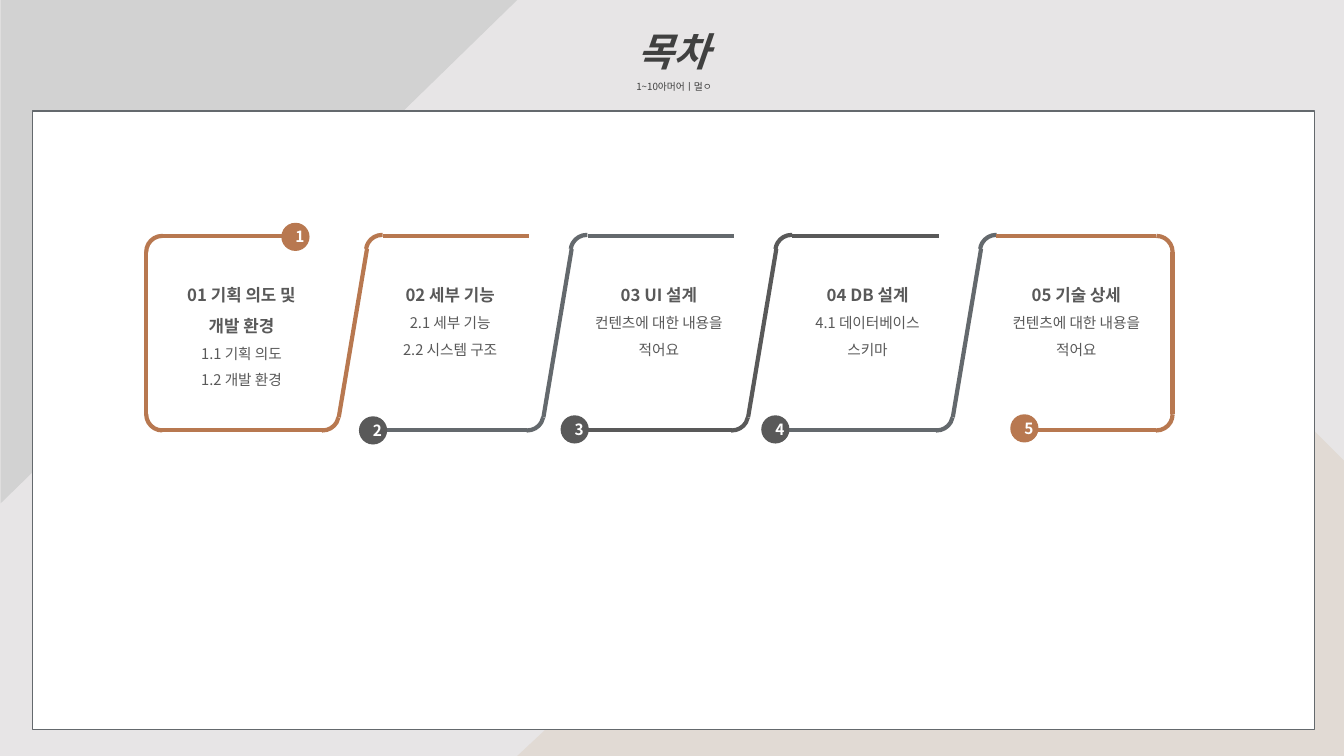
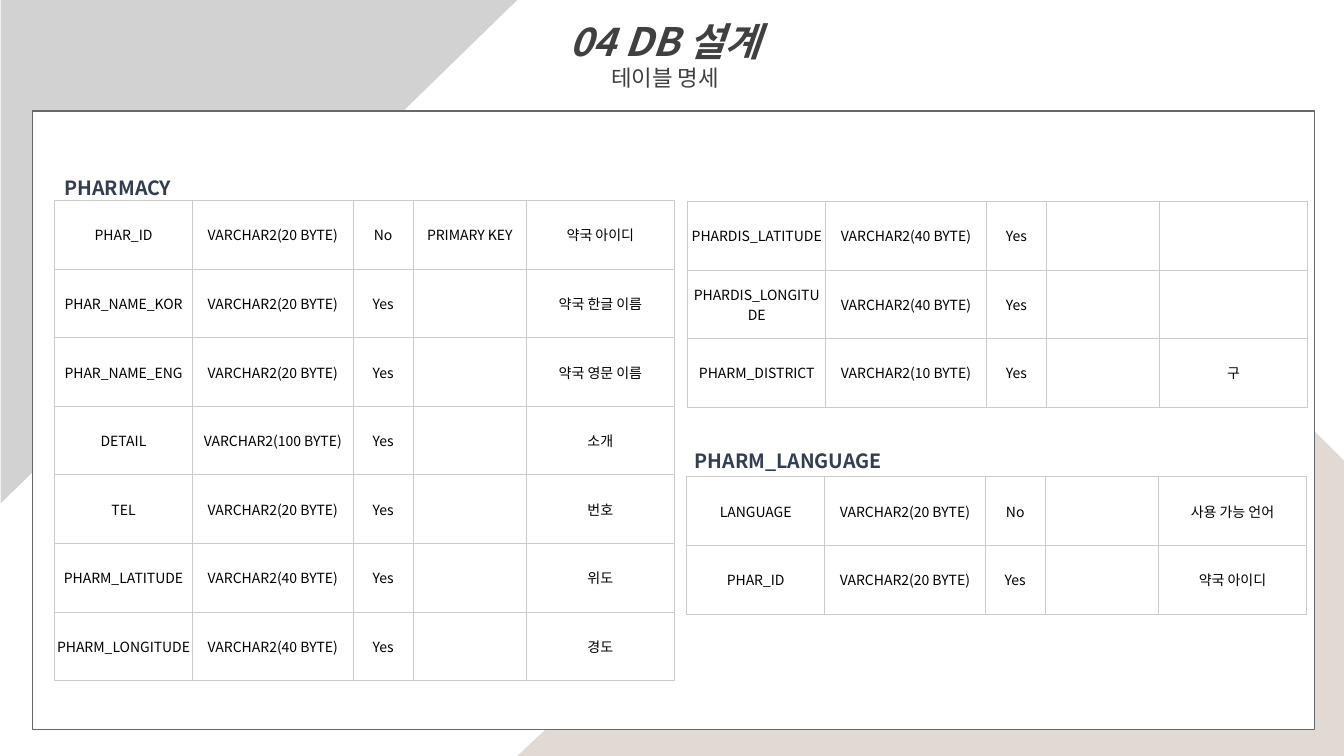
from dataclasses import dataclass

from lxml.etree import SubElement
from pptx import Presentation
from pptx.dml.color import RGBColor
from pptx.enum.shapes import MSO_CONNECTOR, MSO_SHAPE
from pptx.enum.text import MSO_ANCHOR, MSO_AUTO_SIZE, PP_ALIGN
from pptx.oxml.ns import qn
from pptx.util import Inches, Pt

FONT = "Noto Sans CJK KR"
COLORS = {
    "page": "E7E5E6", "white": "FFFFFF", "black": "000000",
    "beige": "E1DAD4", "silver": "D2D2D2", "slate": "64696D",
    "copper": "B87850", "gray": "595959", "title": "404040",
    "navy": "333F50", "grid": "CCCCCC",
}
TITLE_ONLY = 5

# Geometry of the contents ribbon
PITCH = 2.03
TOP, BOTTOM = 2.34, 4.27
CORNER = 0.32
ARC_TOP, ARC_BOTTOM = 2.33, 3.95
SQUARE_TURN = (162, 1.1)
START_TURN = (168.61, 1.46)
END_TURN = (166.35, 1.26)

# Geometry of the tables
COLUMN_WIDTHS = (1.37, 1.59, 0.6, 1.12, 1.47)
ROW_HEIGHT = 0.68


@dataclass
class Arc:
    left: float
    top: float
    rotation: int
    turn: tuple[float, float]


@dataclass
class Line:
    start: tuple[float, float]
    end: tuple[float, float]


@dataclass
class Section:
    heading: tuple[str, ...]
    details: tuple[str, ...]


@dataclass
class Badge:
    left: float
    top: float
    color: str


@dataclass
class Specification:
    left: float
    top: float
    rows: tuple[tuple[str, ...], ...]


@dataclass
class Caption:
    text: str
    left: float
    top: float


SECTIONS = (
    Section(("01 기획 의도 및", "개발 환경"), ("1.1 기획 의도", "1.2 개발 환경")),
    Section(("02 세부 기능",), ("2.1 세부 기능", "2.2 시스템 구조")),
    Section(("03 UI 설계",), ("컨텐츠에 대한 내용을 적어요",)),
    Section(("04 DB 설계",), ("4.1 데이터베이스", "스키마")),
    Section(("05 기술 상세",), ("컨텐츠에 대한 내용을 적어요",)),
)
BADGES = (
    Badge(2.79, 2.21, "copper"), Badge(3.56, 4.13, "gray"),
    Badge(5.56, 4.12, "gray"), Badge(7.55, 4.12, "gray"),
    Badge(10.02, 4.11, "copper"),
)
DIVIDER_COLORS = ("copper", "slate", "gray", "slate")
LEFT_END = (
    Arc(1.45, TOP, 270, SQUARE_TURN),
    Line((1.61, TOP), (2.87, TOP)),
    Line((1.45, 2.5), (1.45, 4.11)),
    Arc(1.45, ARC_BOTTOM, 180, SQUARE_TURN),
)
RIGHT_END = (
    Arc(11.31, ARC_BOTTOM, 90, SQUARE_TURN),
    Line((11.47, BOTTOM), (10.21, BOTTOM)),
    Line((11.63, 4.11), (11.63, 2.5)),
    Arc(11.31, TOP, 0, SQUARE_TURN),
    Line((11.47, TOP), (9.88, TOP)),
)
CAPTIONS = (Caption("PHARMACY", 0.54, 1.58), Caption("PHARM_LANGUAGE", 6.79, 4.29))
SPECIFICATIONS = (
    Specification(0.54, 1.99, (
        ("PHAR_ID", "VARCHAR2(20 BYTE)", "No", "PRIMARY KEY", "약국 아이디"),
        ("PHAR_NAME_KOR", "VARCHAR2(20 BYTE)", "Yes", "", "약국 한글 이름"),
        ("PHAR_NAME_ENG", "VARCHAR2(20 BYTE)", "Yes", "", "약국 영문 이름"),
        ("DETAIL", "VARCHAR2(100 BYTE)", "Yes", "", "소개"),
        ("TEL", "VARCHAR2(20 BYTE)", "Yes", "", "번호"),
        ("PHARM_LATITUDE", "VARCHAR2(40 BYTE)", "Yes", "", "위도"),
        ("PHARM_LONGITUDE", "VARCHAR2(40 BYTE)", "Yes", "", "경도"),
    )),
    Specification(6.81, 4.73, (
        ("LANGUAGE", "VARCHAR2(20 BYTE)", "No", "", "사용 가능 언어"),
        ("PHAR_ID", "VARCHAR2(20 BYTE)", "Yes", "", "약국 아이디"),
    )),
    Specification(6.82, 2, (
        ("PHARDIS_LATITUDE", "VARCHAR2(40 BYTE)", "Yes", "", ""),
        ("PHARDIS_LONGITUDE", "VARCHAR2(40 BYTE)", "Yes", "", ""),
        ("PHARM_DISTRICT", "VARCHAR2(10 BYTE)", "Yes", "", "구"),
    )),
)


def rgb(name: str) -> RGBColor:
    return RGBColor.from_string(COLORS[name])


def box(left: float, top: float, width: float, height: float) -> tuple:
    return Inches(left), Inches(top), Inches(width), Inches(height)


# Text
def write(frame, text: str, *, size: float, color: str, bold: bool = False,
          italic: bool = False, align=PP_ALIGN.CENTER, spacing: float = 1.0) -> None:
    """Fill the frame's empty first paragraph, or add another one."""
    paragraph = frame.add_paragraph() if frame.text else frame.paragraphs[0]
    paragraph.alignment = align
    paragraph.line_spacing = spacing
    run = paragraph.add_run()
    run.text = text
    font = run.font
    font.size, font.bold, font.italic = Pt(size), bold, italic
    font.color.rgb = rgb(color)
    font.name = FONT
    SubElement(run._r.get_or_add_rPr(), qn("a:ea"), typeface=FONT)


def add_text_frame(slide, left: float, top: float, width: float, height: float):
    frame = slide.shapes.add_textbox(*box(left, top, width, height)).text_frame
    frame.word_wrap = True
    frame.auto_size = MSO_AUTO_SIZE.SHAPE_TO_FIT_TEXT
    return frame


# Shapes
def paint(shape, fill: str | None = None, line: str | None = None,
          weight: float = 1) -> None:
    if fill:
        shape.fill.solid()
        shape.fill.fore_color.rgb = rgb(fill)
    else:
        shape.fill.background()
    if line:
        shape.line.color.rgb = rgb(line)
        shape.line.width = Pt(weight)
    else:
        shape.line.fill.background()
    shape.shadow.inherit = False


def add_outline(slide, parts: tuple, color: str) -> None:
    """Draw arcs and lines of one colour as a group."""
    shapes = slide.shapes.add_group_shape().shapes
    for part in parts:
        if isinstance(part, Arc):
            arc = shapes.add_shape(MSO_SHAPE.ARC, *box(part.left, part.top, CORNER, CORNER))
            arc.rotation = part.rotation
            arc.adjustments[0], arc.adjustments[1] = part.turn
            paint(arc, line=color, weight=3)
        else:
            ends = [Inches(value) for value in (*part.start, *part.end)]
            connector = shapes.add_connector(MSO_CONNECTOR.STRAIGHT, *ends)
            connector.line.color.rgb = rgb(color)
            connector.line.width = Pt(3)
            SubElement(connector._element.spPr, qn("a:effectLst"))


def divider_parts(index: int) -> tuple:
    """Bottom edge, slanted side and top edge between two sections."""
    shift = index * PITCH
    parts = (
        Line((1.6 + shift, BOTTOM), (3.2 + shift, BOTTOM)),
        Arc(3.04 + shift, ARC_BOTTOM, 90, START_TURN),
        Line((3.36 + shift, 4.14), (3.64 + shift, 2.47)),
        Arc(3.63 + shift, ARC_TOP, 270, END_TURN),
    )
    if index < len(DIVIDER_COLORS) - 1:
        parts += (Line((3.8 + shift, TOP), (5.25 + shift, TOP)),)
    return parts


# Shared slide frame: background, corner shapes, panel and title
def add_framed_slide(presentation, background: str, title: str, subtitle: str, *,
                     title_box: tuple, subtitle_size: float, spacing: float):
    slide = presentation.slides.add_slide(presentation.slide_layouts[TITLE_ONLY])
    slide.background.fill.solid()
    slide.background.fill.fore_color.rgb = rgb(background)

    builder = slide.shapes.build_freeform(Inches(10.44), Inches(2.54))
    corner = ((11.3, 2.54), (13.33, 4.57), (13.33, 7.5), (5.13, 7.5))
    builder.add_line_segments([(Inches(x), Inches(y)) for x, y in corner])
    paint(builder.convert_to_shape(), "beige")

    triangle = slide.shapes.add_shape(MSO_SHAPE.RIGHT_TRIANGLE, *box(0.07, -0.07, 5, 5.13))
    triangle.rotation = 90
    paint(triangle, "silver")
    panel = slide.shapes.add_shape(MSO_SHAPE.RECTANGLE, *box(0.32, 1.1, 12.72, 6.14))
    paint(panel, "white", "slate")

    heading = slide.shapes.title
    heading.left, heading.top, heading.width, heading.height = box(*title_box)
    slide.shapes._spTree.append(heading._element)
    frame = heading.text_frame
    frame.word_wrap = True
    frame.vertical_anchor = MSO_ANCHOR.TOP
    frame.auto_size = MSO_AUTO_SIZE.SHAPE_TO_FIT_TEXT
    write(frame, title, size=28, color="title", bold=True, italic=True, spacing=spacing)
    write(frame, subtitle, size=subtitle_size, color="title", spacing=spacing)
    return slide


# Tables
def add_specification(slide, specification: Specification) -> None:
    rows = specification.rows
    table = slide.shapes.add_table(
        len(rows), len(COLUMN_WIDTHS),
        *box(specification.left, specification.top,
             sum(COLUMN_WIDTHS), ROW_HEIGHT * len(rows))).table
    table.first_row = table.horz_banding = False
    for column, width in zip(table.columns, COLUMN_WIDTHS):
        column.width = Inches(width)
    for row, texts in zip(table.rows, rows):
        row.height = Inches(ROW_HEIGHT)
        for cell, text in zip(row.cells, texts):
            cell.vertical_anchor = MSO_ANCHOR.MIDDLE
            cell.margin_left = cell.margin_right = Inches(0.02)
            cell.margin_top = cell.margin_bottom = Inches(0.01)
            for side in ("lnL", "lnR", "lnT", "lnB"):
                border = SubElement(cell._tc.get_or_add_tcPr(), qn(f"a:{side}"), w=str(Pt(0.5)))
                fill = SubElement(border, qn("a:solidFill"))
                SubElement(fill, qn("a:srgbClr"), val=COLORS["grid"])
            cell.fill.background()
            if text:
                write(cell.text_frame, text, size=10, color="black")


# Slides
def build_contents(presentation) -> None:
    slide = add_framed_slide(presentation, "page", "목차", "1~10아머어ㅣ멀ㅇ",
                             title_box=(3.35, -0.01, 6.67, 0.98),
                             subtitle_size=7, spacing=1.5)
    add_outline(slide, LEFT_END, "copper")
    for index, color in enumerate(DIVIDER_COLORS):
        add_outline(slide, divider_parts(index), color)
    add_outline(slide, RIGHT_END, "copper")

    for index, section in enumerate(SECTIONS):
        frame = add_text_frame(slide, 1.5 + 2.07 * index, 2.68, 1.79, 0.9)
        for text in section.heading:
            write(frame, text, size=12, color="gray", bold=True, spacing=1.5)
        for text in section.details:
            write(frame, text, size=10.5, color="gray", spacing=1.5)

    for number, badge in enumerate(BADGES, start=1):
        circle = slide.shapes.add_shape(MSO_SHAPE.OVAL, *box(badge.left, badge.top, 0.28, 0.28))
        paint(circle, badge.color)
        circle.text_frame.vertical_anchor = MSO_ANCHOR.MIDDLE
        write(circle.text_frame, str(number), size=11, color="white", bold=True)


def build_database(presentation) -> None:
    slide = add_framed_slide(presentation, "white", "04 DB 설계", "테이블 명세",
                             title_box=(3.26, 0.12, 6.67, 0.84),
                             subtitle_size=16, spacing=1.0)
    for caption in CAPTIONS:
        frame = add_text_frame(slide, caption.left, caption.top, 6.5, 0.41)
        write(frame, caption.text, size=14, color="navy", bold=True,
              align=PP_ALIGN.LEFT, spacing=1.5)
    for specification in SPECIFICATIONS:
        add_specification(slide, specification)


def main() -> None:
    presentation = Presentation()
    presentation.slide_width, presentation.slide_height = Inches(13.33), Inches(7.5)
    build_contents(presentation)
    build_database(presentation)
    presentation.save("out.pptx")


if __name__ == "__main__":
    main()
